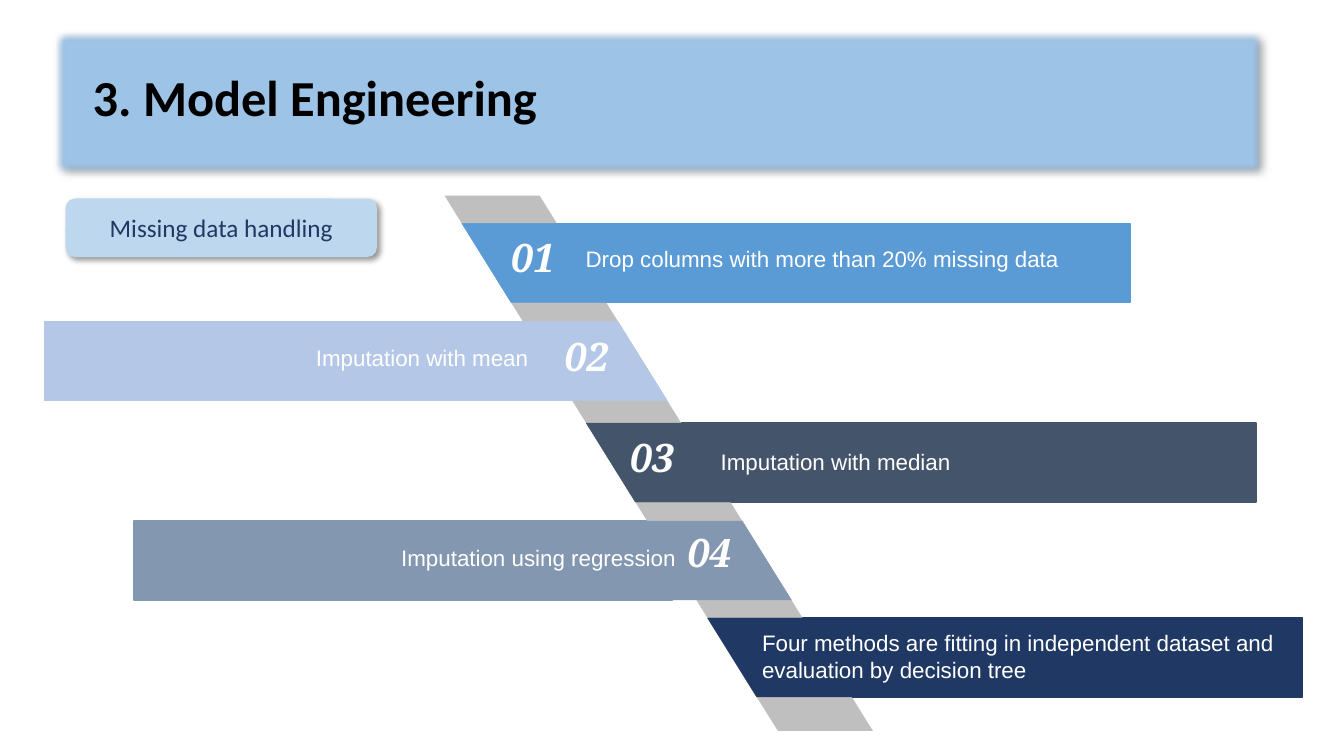
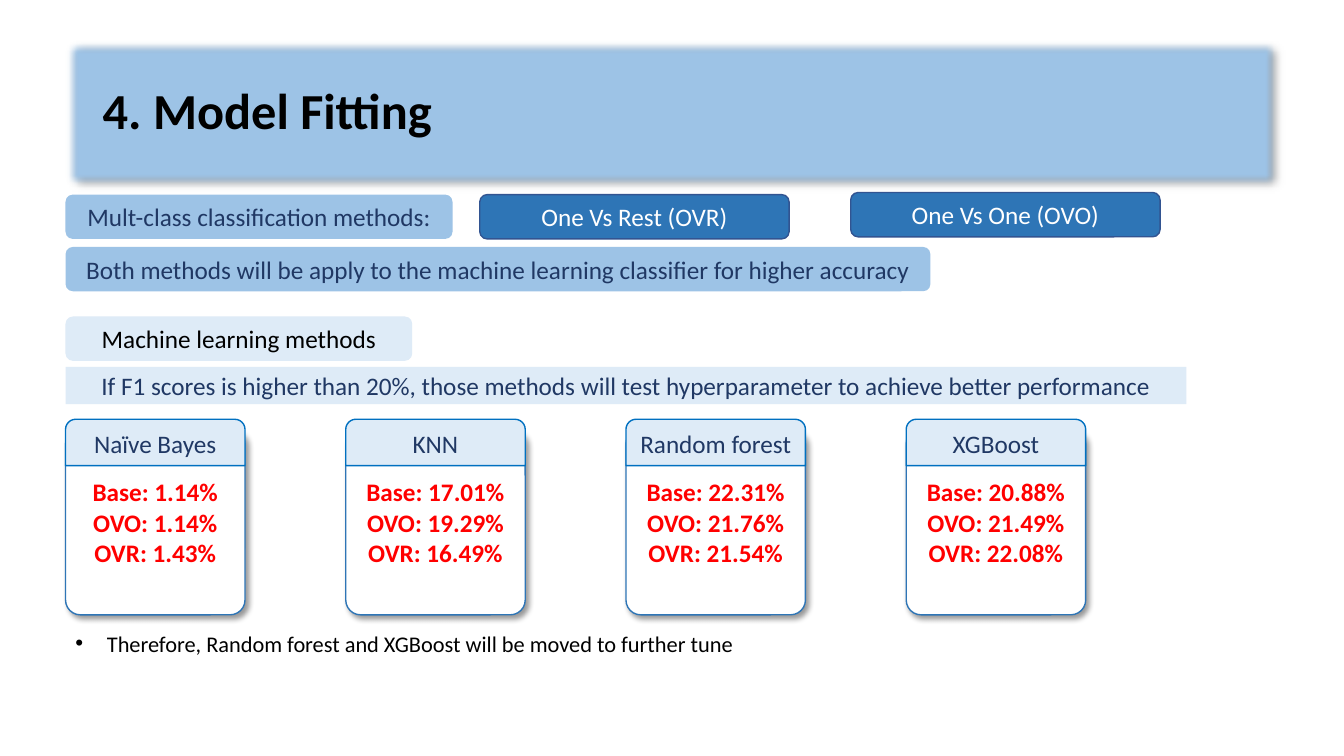
from dataclasses import dataclass
from typing import NamedTuple, Optional

from lxml import etree
from pptx import Presentation
from pptx.dml.color import RGBColor
from pptx.enum import shapes, text
from pptx.oxml import ns
from pptx.shapes.autoshape import Shape
from pptx.slide import Slide
from pptx.util import Pt

KIND = shapes.MSO_SHAPE
ALIGN = text.PP_ALIGN
ANCHOR = text.MSO_ANCHOR


@dataclass(frozen=True)
class Theme:
    black: str = "000000"
    white: str = "FFFFFF"
    banner: str = "9DC3E6"
    outline: str = "325491"
    navy: str = "203864"
    tag: str = "BDD7EE"
    pale: str = "DEEBF7"
    strong: str = "2E75B6"
    header_line: str = "0070C0"
    score: str = "FF0000"
    spine: str = "BFBFBF"
    sky: str = "5B9BD5"
    lavender: str = "B4C7E7"
    slate: str = "44546A"
    steel: str = "8497B0"
    body_font: str = "Calibri"
    label_font: str = "Arial"
    number_font: str = "Noto Serif"
    title_size: float = 36
    number_size: float = 28
    body_size: float = 18
    label_size: float = 16


T = Theme()


class Box(NamedTuple):
    x: float
    y: float
    w: float
    h: float


class Style(NamedTuple):
    font: str
    size: float
    color: str
    bold: bool = False
    italic: bool = False


class Band(NamedTuple):
    color: str
    bar_x: float
    bar_w: float
    top: float
    inner_x: float
    slant_left: bool
    label: str
    label_box: Box
    align: ALIGN = ALIGN.LEFT
    number: Optional[str] = None
    number_at: tuple[float, float] = (0, 0)


class Pill(NamedTuple):
    label: str
    box: Box
    fill: str
    color: str
    line: Optional[str] = None
    kind: KIND = KIND.ROUNDED_RECTANGLE


class Card(NamedTuple):
    method: str
    base: str
    ovo: str
    ovr: str


TITLE = Style(T.body_font, T.title_size, T.black, bold=True)
NUMBER = Style(T.number_font, T.number_size, T.white, bold=True, italic=True)
LABEL = Style(T.label_font, T.label_size, T.white)
SCORE = Style(T.body_font, T.body_size, T.score, bold=True)
NOTE = Style(T.body_font, T.label_size, T.black)

SPINE = Box(317.5, 139.7, 306, 382.3)
SPINE_ADJ = 0.778
SPINE_SHIFT = SPINE_ADJ * SPINE.w
BAND_H = 56.4

BANDS = [
    Band(T.sky, 368.6, 438.5, 159.6, 616.3, True,
         "Drop columns with more than 20% missing data",
         Box(418.3, 175, 388.8, 42.5), number="01", number_at=(365, 166.3)),
    Band(T.lavender, 31.7, 399.6, 229.7, 253.4, False, "Imputation with mean",
         Box(18.7, 245.5, 358.6, 40.3), ALIGN.RIGHT, "02", (403.2, 237.6)),
    Band(T.slate, 486.7, 410.4, 302.2, 633.6, True, "Imputation with median",
         Box(514.8, 320.4, 367.9, 39.6), number="03", number_at=(450, 309.6)),
    Band(T.steel, 95.8, 384.5, 372.2, 264.2, False,
         "Imputation using regression",
         Box(286.6, 388.8, 204.5, 39.6), number="04", number_at=(491, 377.3)),
    Band(T.navy, 571.7, 358.6, 441.4, 720.7, True,
         "Four methods are fitting in independent dataset and evaluation by "
         "decision tree", Box(544.3, 449.3, 382.3, 39.6)),
]

LEFT = 46.8
PILL_H = 31.7
PILLS = [
    Pill("Machine learning methods", Box(LEFT, 226.1, 247.7, PILL_H),
         T.pale, T.black),
    Pill("Mult-class classification methods:", Box(LEFT, 139, 276.5, PILL_H),
         T.banner, T.navy),
    Pill("One Vs One (OVO)", Box(607.7, 137.5, 221, PILL_H),
         T.strong, T.white, T.outline),
    Pill("One Vs Rest (OVR)", Box(342.7, 139, 221, PILL_H),
         T.strong, T.white, T.outline),
    Pill("Both methods will be apply to the machine learning classifier for "
         "higher accuracy", Box(LEFT, 176.4, 617.8, PILL_H), T.banner, T.navy),
    Pill("If F1 scores is higher than 20%, those methods will test "
         "hyperparameter to achieve better performance",
         Box(LEFT, 262.1, 800.6, 26.6), T.pale, T.navy, kind=KIND.RECTANGLE),
]

CARDS = [
    Card("Naïve Bayes", "1.14%", "1.14%", "1.43%"),
    Card("KNN", "17.01%", "19.29%", "16.49%"),
    Card("Random forest", "22.31%", "21.76%", "21.54%"),
    Card("XGBoost", "20.88%", "21.49%", "22.08%"),
]
CARD_W = 128.2
CARD_STEP = 200.16


def points(box: Box) -> list[Pt]:
    return [Pt(v) for v in box]


def paint(sp: Shape, fill: str, line: Optional[str] = None,
          width: float = 1) -> None:
    sp.shadow.inherit = False
    sp.fill.solid()
    sp.fill.fore_color.rgb = RGBColor.from_string(fill)
    if line:
        sp.line.color.rgb = RGBColor.from_string(line)
        sp.line.width = Pt(width)
    else:
        sp.line.fill.background()


def add_box(s: Slide, kind: KIND, box: Box, fill: str,
            line: Optional[str] = None) -> Shape:
    sp = s.shapes.add_shape(kind, *points(box))
    paint(sp, fill, line)
    return sp


def write(sp: Shape, content: str, style: Style, align: ALIGN = ALIGN.CENTER,
          anchor: ANCHOR = ANCHOR.MIDDLE) -> None:
    tf = sp.text_frame
    tf.text = content
    tf.word_wrap = True
    tf.vertical_anchor = anchor
    for p in tf.paragraphs:
        p.alignment = align
        for r in p.runs:
            r.font.name = style.font
            r.font.size = Pt(style.size)
            r.font.bold = style.bold
            r.font.italic = style.italic
            r.font.color.rgb = RGBColor.from_string(style.color)


def add_label(s: Slide, box: Box, content: str, style: Style,
              align: ALIGN = ALIGN.LEFT) -> None:
    sp = s.shapes.add_textbox(*points(box))
    write(sp, content, style, align, ANCHOR.TOP)
    tf = sp.text_frame
    tf.margin_left = tf.margin_right = tf.margin_top = tf.margin_bottom = 0


def add_shadow(sp: Shape) -> None:
    effects = sp.element.spPr.find(ns.qn("a:effectLst"))
    shadow = etree.SubElement(effects, ns.qn("a:outerShdw"),
                              blurRad=str(Pt(4)), dist=str(Pt(3)),
                              dir="2700000", algn="tl", rotWithShape="0")
    color = etree.SubElement(shadow, ns.qn("a:srgbClr"), val=T.black)
    etree.SubElement(color, ns.qn("a:alpha"), val="40000")


def soften(sp: Shape, radius: float) -> None:
    effects = sp.element.spPr.find(ns.qn("a:effectLst"))
    etree.SubElement(effects, ns.qn("a:softEdge"), rad=str(Pt(radius)))


def add_bullet(sp: Shape, indent: float) -> None:
    props = sp.text_frame.paragraphs[0]._p.get_or_add_pPr()
    props.set("marL", str(Pt(indent)))
    props.set("indent", str(-Pt(indent)))
    etree.SubElement(props, ns.qn("a:buFont"), typeface="Arial")
    etree.SubElement(props, ns.qn("a:buChar"), char="•")


def add_titled_slide(prs: Presentation, title: str, banner: Box,
                     title_box: Box) -> Slide:
    s = prs.slides.add_slide(prs.slide_layouts[5])
    sp = s.shapes.title
    sp.left, sp.top, sp.width, sp.height = points(title_box)
    write(sp, title, TITLE, ALIGN.LEFT)
    sp.text_frame.auto_size = text.MSO_AUTO_SIZE.NONE
    sp.text_frame.paragraphs[0].line_spacing = 0.9
    plate = add_box(s, KIND.RECTANGLE, banner, T.banner, T.outline)
    add_shadow(plate)
    soften(plate, 5)
    sp.element.addprevious(plate.element)
    return s


def add_pill(s: Slide, pill: Pill) -> Shape:
    sp = add_box(s, pill.kind, pill.box, pill.fill, pill.line)
    write(sp, pill.label, Style(T.body_font, T.body_size, pill.color))
    return sp


def add_spine(s: Slide) -> None:
    sp = add_box(s, KIND.PARALLELOGRAM, SPINE, T.spine)
    sp.adjustments[0] = SPINE_ADJ
    sp.element.spPr.xfrm.set("flipH", "1")


def spine_edge(y: float, left: bool) -> float:
    start = SPINE.x if left else SPINE.x + SPINE.w - SPINE_SHIFT
    return start + (y - SPINE.y) * SPINE_SHIFT / SPINE.h


def add_tip(s: Slide, band: Band) -> None:
    top, bottom = band.top, band.top + BAND_H
    corners = [(band.inner_x, top), (band.inner_x, bottom),
               (spine_edge(bottom, band.slant_left), bottom),
               (spine_edge(top, band.slant_left), top)]
    first, *rest = [(Pt(x), Pt(y)) for x, y in corners]
    outline = s.shapes.build_freeform(*first)
    outline.add_line_segments(rest, close=True)
    paint(outline.convert_to_shape(), band.color, band.color, 0.25)


def add_card(s: Slide, card: Card, x: float) -> None:
    body = add_box(s, KIND.ROUNDED_RECTANGLE, Box(x, 306.7, CARD_W, 132.5),
                   T.white, T.strong)
    body.adjustments[0] = 0.083
    add_shadow(body)
    write(body, f"Base: {card.base}\nOVO: {card.ovo}\nOVR: {card.ovr}", SCORE)
    head = add_pill(s, Pill(card.method, Box(x, 299.5, CARD_W, 33.1), T.pale,
                            T.navy, T.header_line,
                            KIND.ROUND_2_SAME_RECTANGLE))
    head.adjustments[0] = 0.219


def build_engineering(prs: Presentation) -> None:
    s = add_titled_slide(prs, "3. Model Engineering",
                         Box(37.4, 20.9, 866.2, 104.4),
                         Box(59, 19.4, 828, 104.4))
    for band in BANDS:
        add_box(s, KIND.RECTANGLE,
                Box(band.bar_x, band.top, band.bar_w, BAND_H),
                band.color, band.color)
    add_spine(s)
    for band in BANDS:
        add_tip(s, band)
        add_label(s, band.label_box, band.label, LABEL, band.align)
        if band.number:
            add_label(s, Box(*band.number_at, 52.6, 40.3), band.number, NUMBER)
    add_shadow(add_pill(s, Pill("Missing data handling",
                                Box(LEFT, 141.8, 222.5, 41.8), T.tag, T.navy)))


def build_fitting(prs: Presentation) -> None:
    s = add_titled_slide(prs, "4. Model Fitting",
                         Box(LEFT, 28.8, 866.2, 104.4),
                         Box(66.2, 28.8, 828, 104.4))
    for pill in PILLS:
        add_pill(s, pill)
    for i, card in enumerate(CARDS):
        add_card(s, card, LEFT + i * CARD_STEP)
    sp = s.shapes.add_textbox(*points(Box(LEFT, 446.4, 673.9, 26.6)))
    write(sp, "Therefore, Random forest and XGBoost will be moved to further "
          "tune", NOTE, ALIGN.LEFT, ANCHOR.TOP)
    add_bullet(sp, 22.5)


prs = Presentation()
prs.slide_width, prs.slide_height = Pt(960), Pt(540)
build_engineering(prs)
build_fitting(prs)
prs.save("out.pptx")
